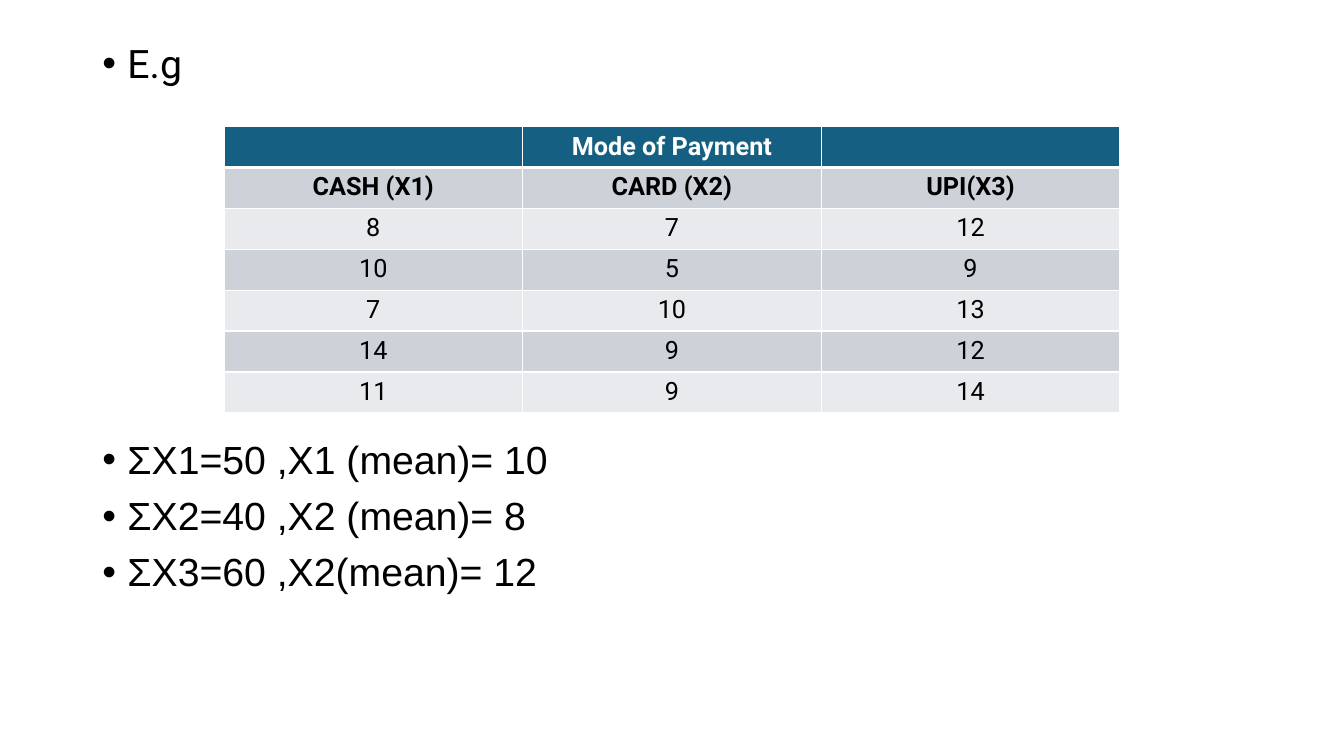
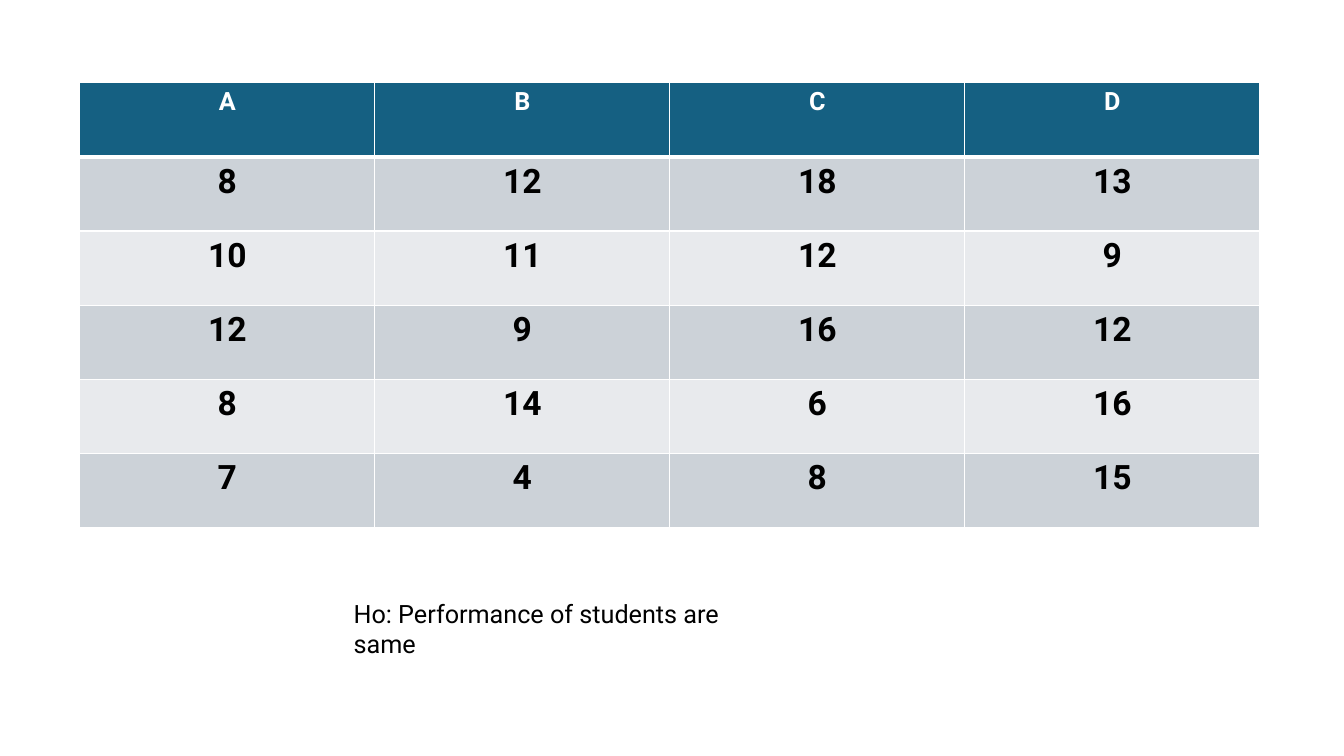
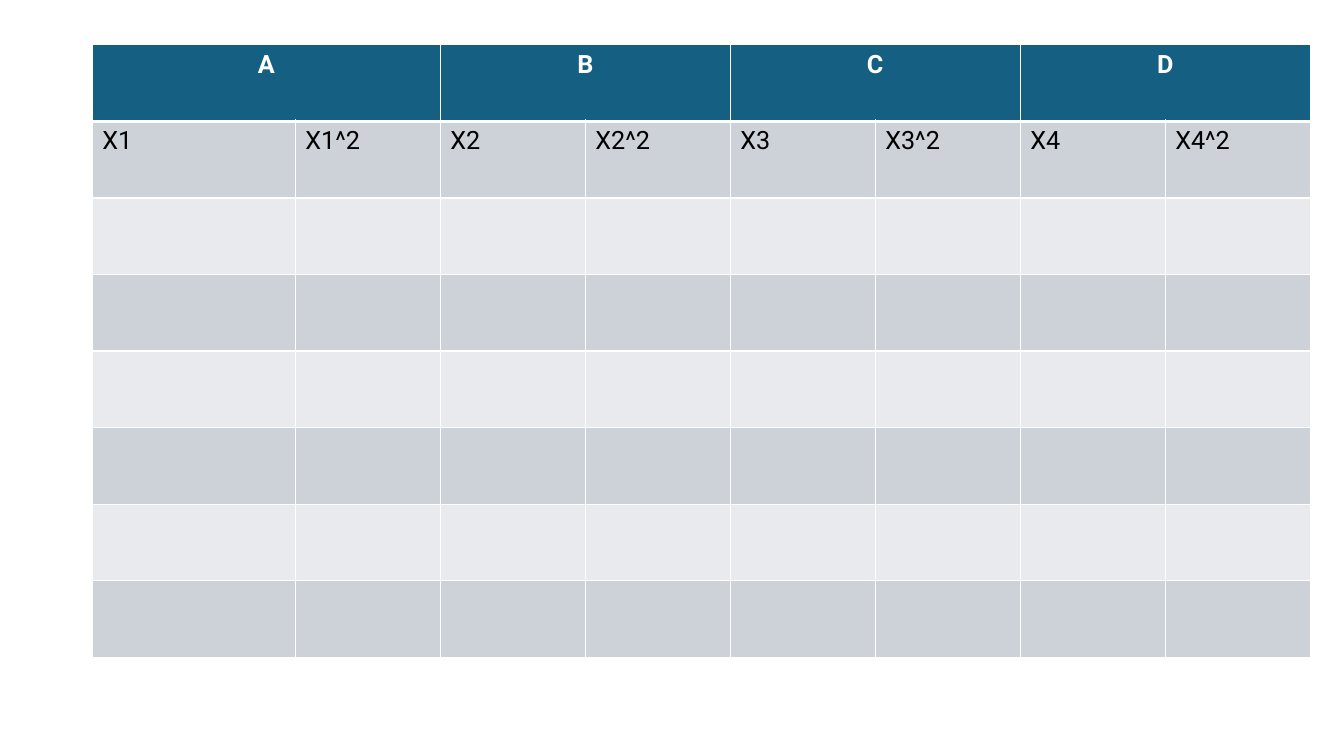
from lxml.etree import SubElement
from pptx import Presentation
from pptx.dml.color import RGBColor
from pptx.enum.text import PP_ALIGN
from pptx.oxml.ns import qn
from pptx.util import Pt

BLACK = RGBColor(0x00, 0x00, 0x00)
WHITE = RGBColor(0xFF, 0xFF, 0xFF)
HEADER = RGBColor(0x15, 0x60, 0x82)
BANDS = (RGBColor(0xE8, 0xEA, 0xED), RGBColor(0xCC, 0xD2, 0xD8))
FONT = "Roboto"
HEAD_FORMAT = dict(color=WHITE, bold=True, align=PP_ALIGN.CENTER)


def write(p, text, size=18, font=FONT, color=BLACK, bold=False, align=PP_ALIGN.LEFT):
    p.alignment = align
    r = p.add_run()
    r.text = text
    r.font.size = Pt(size)
    r.font.name = font
    r.font.bold = bold
    r.font.color.rgb = color


def add_box(s, box):
    tf = s.shapes.add_textbox(*map(Pt, box)).text_frame
    tf.word_wrap = True
    return tf


def add_bullets(s, box, lines, font=FONT):
    tf = add_box(s, box)
    for i, line in enumerate(lines):
        p = tf.paragraphs[0] if i == 0 else tf.add_paragraph()
        p.line_spacing = 0.9
        if i:
            p.space_before = Pt(10)
        pPr = p._p.get_or_add_pPr()
        pPr.set("marL", str(Pt(18)))
        pPr.set("indent", str(Pt(-18)))
        SubElement(pPr, qn("a:buFont"), typeface="Arial")
        SubElement(pPr, qn("a:buChar"), char="•")
        write(p, line, size=28, font=font)


def set_borders(cell, row):
    tcPr = cell._tc.get_or_add_tcPr()
    for side in "LRTB":
        heavy = (row, side) in ((0, "B"), (1, "T"))
        ln = SubElement(tcPr, qn(f"a:ln{side}"), w=str(Pt(3 if heavy else 1)))
        fill = SubElement(ln, qn("a:solidFill"))
        SubElement(fill, qn("a:srgbClr"), val=str(WHITE))


def add_grid(s, left, top, widths, heights, rows, formats, span=1):
    tbl = s.shapes.add_table(
        len(heights), len(widths), Pt(left), Pt(top), Pt(sum(widths)), Pt(sum(heights))
    ).table
    for col, width in zip(tbl.columns, widths):
        col.width = Pt(width)
    for i, height in enumerate(heights):
        tbl.rows[i].height = Pt(height)
        for cell in tbl.rows[i].cells:
            set_borders(cell, i)
            cell.fill.solid()
            cell.fill.fore_color.rgb = BANDS[i % 2] if i else HEADER
    if span > 1:
        for j in range(0, len(widths), span):
            tbl.cell(0, j).merge(tbl.cell(0, j + span - 1))
    for i, row in enumerate(rows):
        step = 1 if i else span
        for j, value in enumerate(row):
            if value != "":
                p = tbl.cell(i, j * step).text_frame.paragraphs[0]
                write(p, str(value), **formats[min(i, len(formats) - 1)])


def payment_slide(s):
    add_bullets(s, (66, 28, 828, 40), ["E.g"])
    rows = [
        ("", "Mode of Payment", ""),
        ("CASH (X1)", "CARD (X2)", "UPI(X3)"),
        (8, 7, 12),
        (10, 5, 9),
        (7, 10, 13),
        (14, 9, 12),
        (11, 9, 14),
    ]
    formats = [
        HEAD_FORMAT,
        dict(bold=True, align=PP_ALIGN.CENTER),
        dict(align=PP_ALIGN.CENTER),
    ]
    add_grid(s, 160, 90.5, [213.33] * 3, [29.2] * 6 + [28.4], rows, formats)
    sums = ["ΣX1=50 ,X1 (mean)= 10", "ΣX2=40 ,X2 (mean)= 8", "ΣX3=60 ,X2(mean)= 12"]
    add_bullets(s, (66, 311, 828, 120), sums, font="Arial")


def performance_slide(s):
    rows = [
        "ABCD",
        (8, 12, 18, 13),
        (10, 11, 12, 9),
        (12, 9, 16, 12),
        (8, 14, 6, 16),
        (7, 4, 8, 15),
    ]
    formats = [HEAD_FORMAT, dict(size=24, bold=True, align=PP_ALIGN.CENTER)]
    add_grid(s, 57, 59, [210.75] * 4, [53] * 6, rows, formats)
    tf = add_box(s, (245.5, 424, 315.5, 50))
    write(tf.paragraphs[0], "Ho: Performance of students are same")


def squares_slide(s):
    labels = [f"X{n}{power}" for n in range(1, 5) for power in ("", "^2")]
    widths = [145] + [103.55] * 7
    add_grid(s, 66, 32, widths, [54.7] * 8, ["ABCD", labels], [HEAD_FORMAT, {}], span=2)


def main():
    prs = Presentation()
    prs.slide_width, prs.slide_height = Pt(960), Pt(540)
    for build in (payment_slide, performance_slide, squares_slide):
        build(prs.slides.add_slide(prs.slide_layouts[6]))
    prs.save("out.pptx")


if __name__ == "__main__":
    main()
